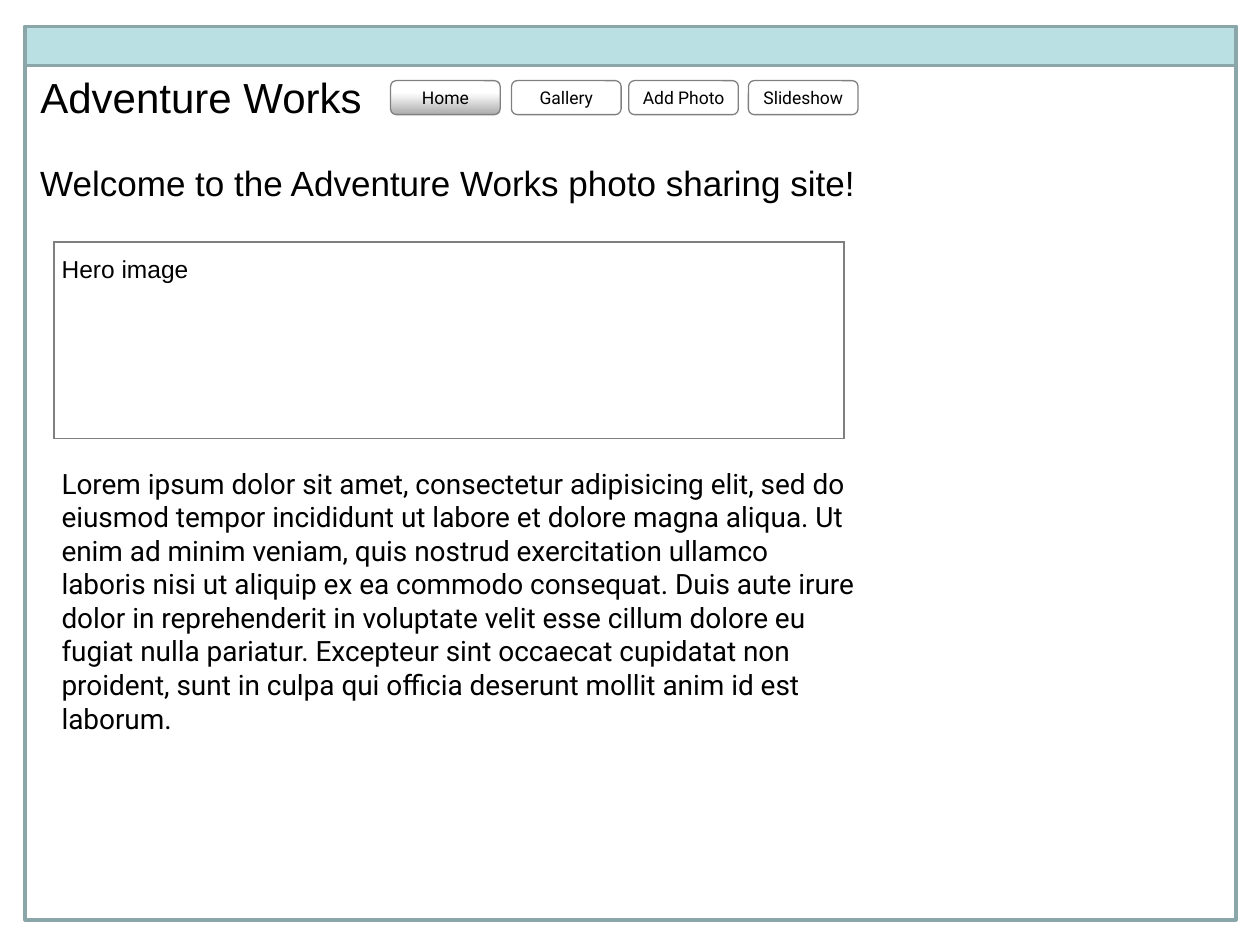
from pptx import Presentation
from pptx.dml.color import RGBColor
from pptx.enum.shapes import MSO_SHAPE
from pptx.enum.text import MSO_ANCHOR, MSO_AUTO_SIZE, PP_ALIGN
from pptx.oxml import parse_xml
from pptx.oxml.ns import nsdecls
from pptx.util import Inches, Pt

INK = {"text": "000000", "edge": "808080", "grid": "7F7F7F", "white": "FFFFFF",
       "shade": "ABABAB", "frame": "8AA6A8", "bar": "BBE0E3"}


def hue(name):
    return RGBColor.from_string(INK[name])


def write(shape, text, size=14, font="Arial", align=PP_ALIGN.LEFT,
          anchor=MSO_ANCHOR.TOP, wrap=False, pad=(0.1, 0.05)):
    frame = shape.text_frame
    frame.text = text
    frame.word_wrap = wrap
    frame.auto_size = MSO_AUTO_SIZE.SHAPE_TO_FIT_TEXT
    frame.vertical_anchor = anchor
    frame.margin_left = frame.margin_right = Inches(pad[0])
    frame.margin_top = frame.margin_bottom = Inches(pad[1])
    line = frame.paragraphs[0]
    line.alignment = align
    line.line_spacing = 1.0
    line.space_before = Pt(0)
    face = line.runs[0].font
    face.size, face.name = Pt(size), font
    face.color.rgb = hue("text")


deck = Presentation()
deck.slide_width, deck.slide_height = Inches(10), Inches(7.5)
slide = deck.slides.add_slide(deck.slide_layouts[5])
shapes = slide.shapes

# Site name
title = shapes.title
title.left, title.top = Inches(0.22), Inches(0.52)
title.width, title.height = Inches(2.78), Inches(0.5)
write(title, "Adventure Works", size=24)

# Menu buttons, with the current page shaded
menu = [("Home", 3.1), ("Gallery", 4.06), ("Add Photo", 4.99), ("Slideshow", 5.94)]
for label, left in menu:
    button = shapes.add_shape(MSO_SHAPE.ROUNDED_RECTANGLE, Inches(left),
                              Inches(0.64), Inches(0.87), Inches(0.27))
    button.shadow.inherit = False
    button.adjustments[0] = 0.17
    button.line.color.rgb = hue("edge")
    button.line.width = Pt(0.75)
    if label == "Home":
        button.fill.gradient()
        button.fill.gradient_angle = 90
        stops = button.fill.gradient_stops
        for stop, name, place in zip(stops, ("shade", "white"), (0, 0.64)):
            stop.color.rgb = hue(name)
            stop.position = place
    else:
        button.fill.solid()
        button.fill.fore_color.rgb = hue("white")
    write(button, label, size=10, font="Roboto", align=PP_ALIGN.CENTER,
          anchor=MSO_ANCHOR.MIDDLE, wrap=True, pad=(0.06, 0.04))

# Welcome line and hero label
welcome = shapes.add_textbox(Inches(0.22), Inches(1.23), Inches(6.72), Inches(0.44))
write(welcome, "Welcome to the Adventure Works photo sharing site!", size=20)
hero = shapes.add_textbox(Inches(0.39), Inches(1.97), Inches(1.21), Inches(0.34))
write(hero, "Hero image")

# Hero area: a table of one bordered cell
table = shapes.add_table(1, 1, Inches(0.43), Inches(1.92),
                         Inches(6.27), Inches(1.56)).table
table.first_row = table.horz_banding = False
cell = table.cell(0, 0)
cell.fill.background()
props = cell._tc.get_or_add_tcPr()
for spot, side in enumerate(("lnL", "lnR", "lnT", "lnB")):
    props.insert(spot, parse_xml(
        f'<a:{side} {nsdecls("a")} w="{Pt(1)}"><a:solidFill>'
        f'<a:srgbClr val="{INK["grid"]}"/></a:solidFill></a:{side}>'))

# Browser window and its top bar
for height, paint in ((7.09, None), (0.31, "bar")):
    box = shapes.add_shape(MSO_SHAPE.RECTANGLE, Inches(0.2), Inches(0.21),
                           Inches(9.61), Inches(height))
    box.shadow.inherit = False
    box.line.color.rgb = hue("frame")
    box.line.width = Pt(2)
    if paint:
        box.fill.solid()
        box.fill.fore_color.rgb = hue(paint)
    else:
        box.fill.background()

# Body copy
body = shapes.add_textbox(Inches(0.39), Inches(3.65), Inches(6.53), Inches(1.99))
write(body, "Lorem ipsum dolor sit amet, consectetur adipisicing elit, sed do eiusmod "
      "tempor incididunt ut labore et dolore magna aliqua. Ut enim ad minim veniam, "
      "quis nostrud exercitation ullamco laboris nisi ut aliquip ex ea commodo "
      "consequat. Duis aute irure dolor in reprehenderit in voluptate velit esse "
      "cillum dolore eu fugiat nulla pariatur. Excepteur sint occaecat cupidatat non "
      "proident, sunt in culpa qui officia deserunt mollit anim id est laborum.",
      size=16, font="Roboto", wrap=True)

deck.save("out.pptx")
